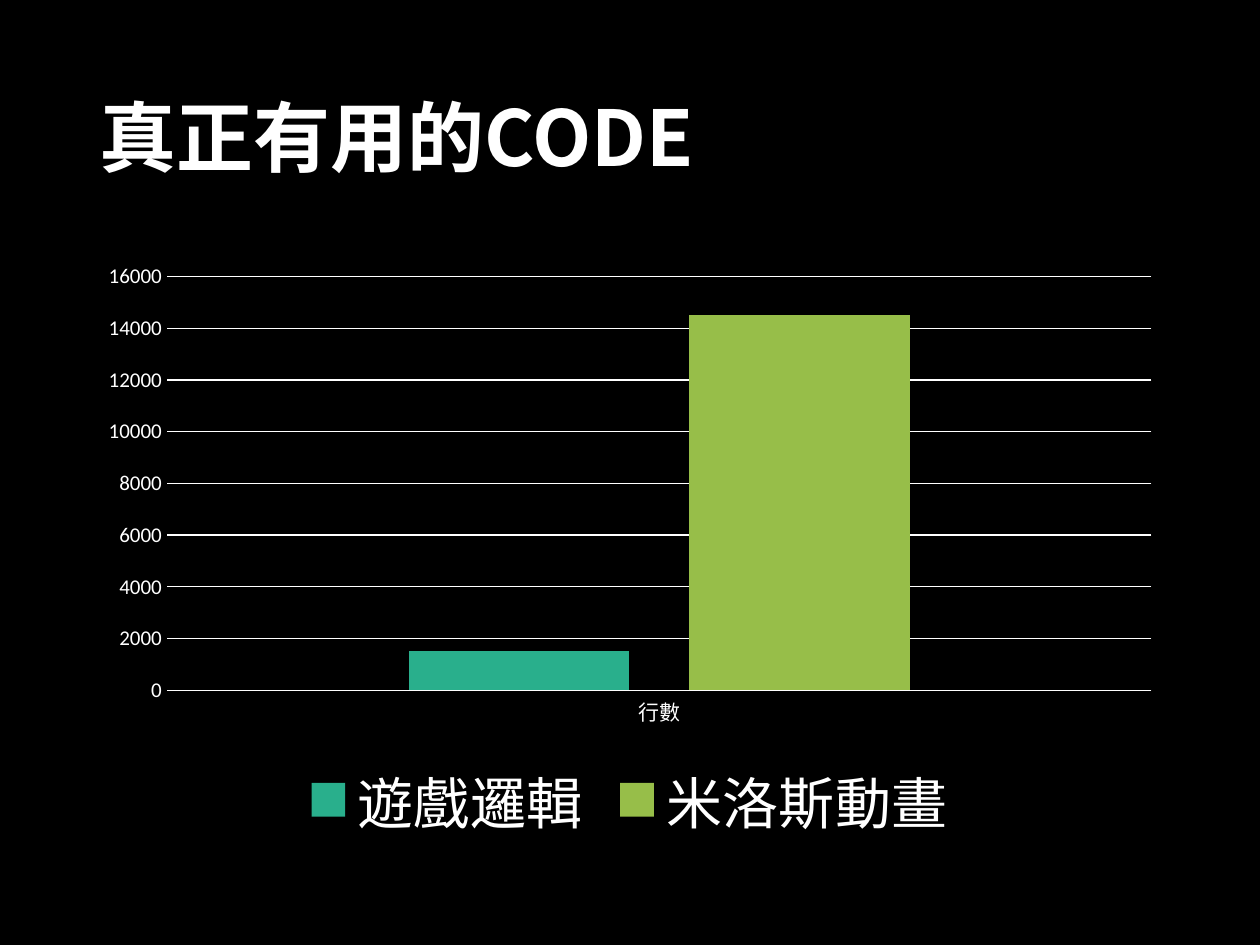
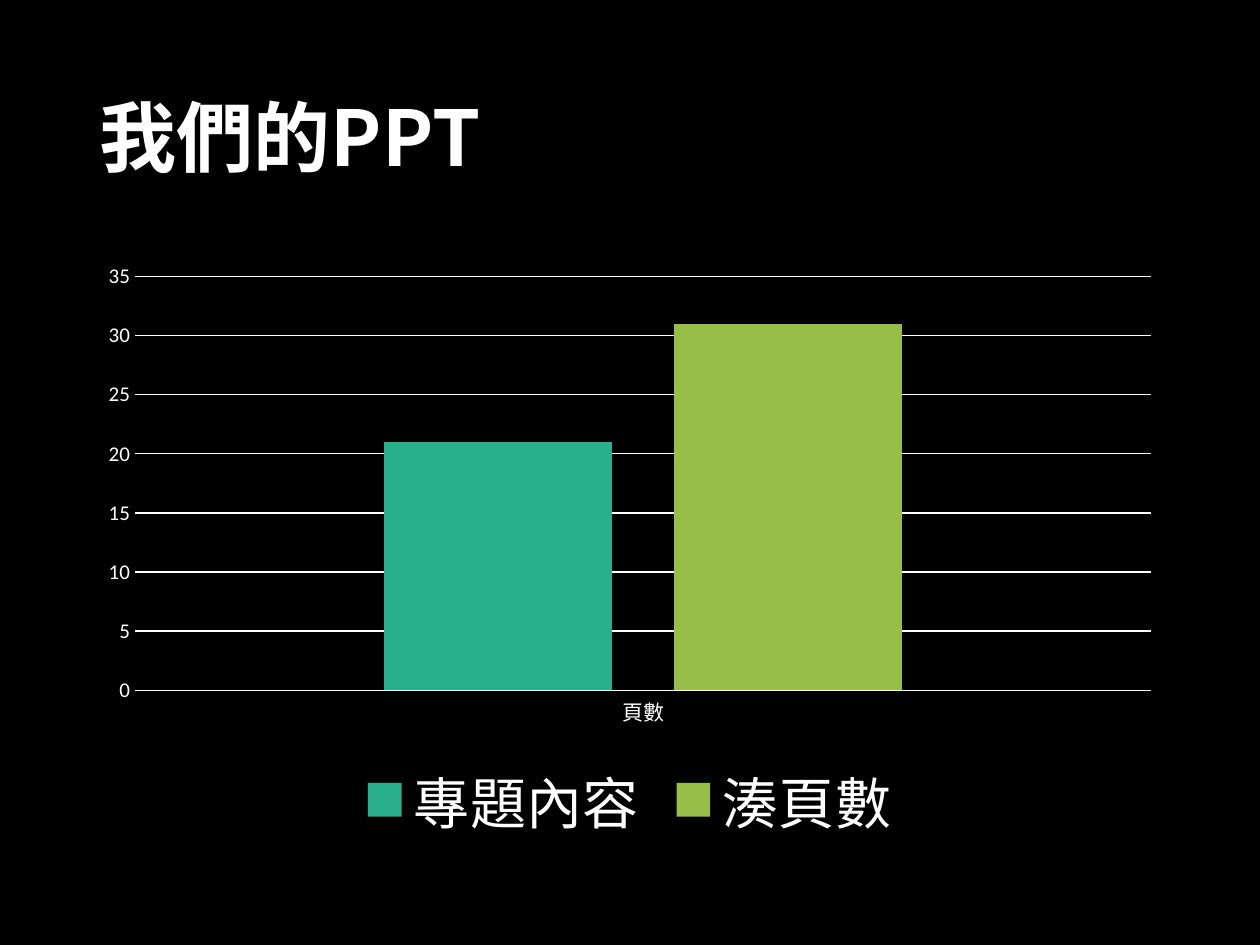
from lxml import etree
from pptx import Presentation
from pptx.chart.data import CategoryChartData
from pptx.dml.color import RGBColor
from pptx.enum.chart import XL_CHART_TYPE, XL_LEGEND_POSITION, XL_TICK_MARK
from pptx.enum.text import MSO_ANCHOR, PP_ALIGN
from pptx.oxml.ns import qn
from pptx.util import Pt

COLUMN = XL_CHART_TYPE.COLUMN_CLUSTERED
BOTTOM = XL_LEGEND_POSITION.BOTTOM
NO_TICK = XL_TICK_MARK.NONE
MIDDLE = MSO_ANCHOR.MIDDLE
LEFT = PP_ALIGN.LEFT

PX = 9144  # 100 px to the inch
HAN, LATIN = "Noto Sans CJK SC", "Calibri"
HEX = {"back": "000000", "text": "FFFFFF", "teal": "29AF8C", "lime": "97BE49"}
RGB = {name: RGBColor.from_string(code) for name, code in HEX.items()}

# title, category, {series name: value}
PAGES = [
    ("真正有用的CODE", "行數", {"遊戲邏輯": 1500, "米洛斯動畫": 14500}),
    ("我們的PPT", "頁數", {"專題內容": 21, "湊頁數": 31}),
]


def set_font(font, size, face, bold=False):
    font.size, font.name, font.bold = Pt(size), face, bold
    font.color.rgb = RGB["text"]


def write(frame, text, size=44, face=HAN, bold=True, spacing=0.9):
    frame.word_wrap = True
    frame.vertical_anchor = MIDDLE
    para = frame.paragraphs[0]
    para.alignment, para.line_spacing = LEFT, spacing
    run = para.add_run()
    run.text = text
    set_font(run.font, size, face, bold)
    etree.SubElement(run._r.get_or_add_rPr(), qn("a:ea"), typeface=face)


deck = Presentation()
deck.slide_width, deck.slide_height = 1000 * PX, 750 * PX
layout = deck.slide_layouts[5]

for heading, unit, bars in PAGES:
    slide = deck.slides.add_slide(layout)
    slide.background.fill.solid()
    slide.background.fill.fore_color.rgb = RGB["back"]

    title = slide.shapes.title
    title.left, title.top = 69 * PX, 40 * PX
    title.width, title.height = 862 * PX, 145 * PX
    write(title.text_frame, heading)

    data = CategoryChartData()
    data.categories = [unit]
    for name, value in bars.items():
        data.add_series(name, [value])
    chart = slide.shapes.add_chart(
        COLUMN, 69 * PX, 200 * PX, 862 * PX, 476 * PX, data).chart
    set_font(chart.font, 10, LATIN)
    chart.has_title = False

    chart.has_legend = True
    chart.legend.position = BOTTOM
    chart.legend.include_in_layout = False
    set_font(chart.legend.font, 32, HAN)

    plot = chart.plots[0]
    plot.gap_width, plot.overlap = 219, -27
    plot.vary_by_categories = False
    for series, shade in zip(plot.series, ("teal", "lime")):
        series.format.fill.solid()
        series.format.fill.fore_color.rgb = RGB[shade]

    for axis, face in ((chart.category_axis, HAN), (chart.value_axis, LATIN)):
        axis.major_tick_mark = axis.minor_tick_mark = NO_TICK
        set_font(axis.tick_labels.font, 12, face)
    chart.value_axis.has_major_gridlines = True
    chart.value_axis.format.line.fill.background()
    for line in (chart.category_axis.format.line,
                 chart.value_axis.major_gridlines.format.line):
        line.width = Pt(0.75)
        line.color.rgb = RGB["text"]

    # Chinese labels take their face from the East Asian slot.
    for latin in list(chart._chartSpace.iter(qn("a:latin"))):
        latin.addnext(etree.Element(qn("a:ea"), typeface=HAN))

deck.save("out.pptx")
